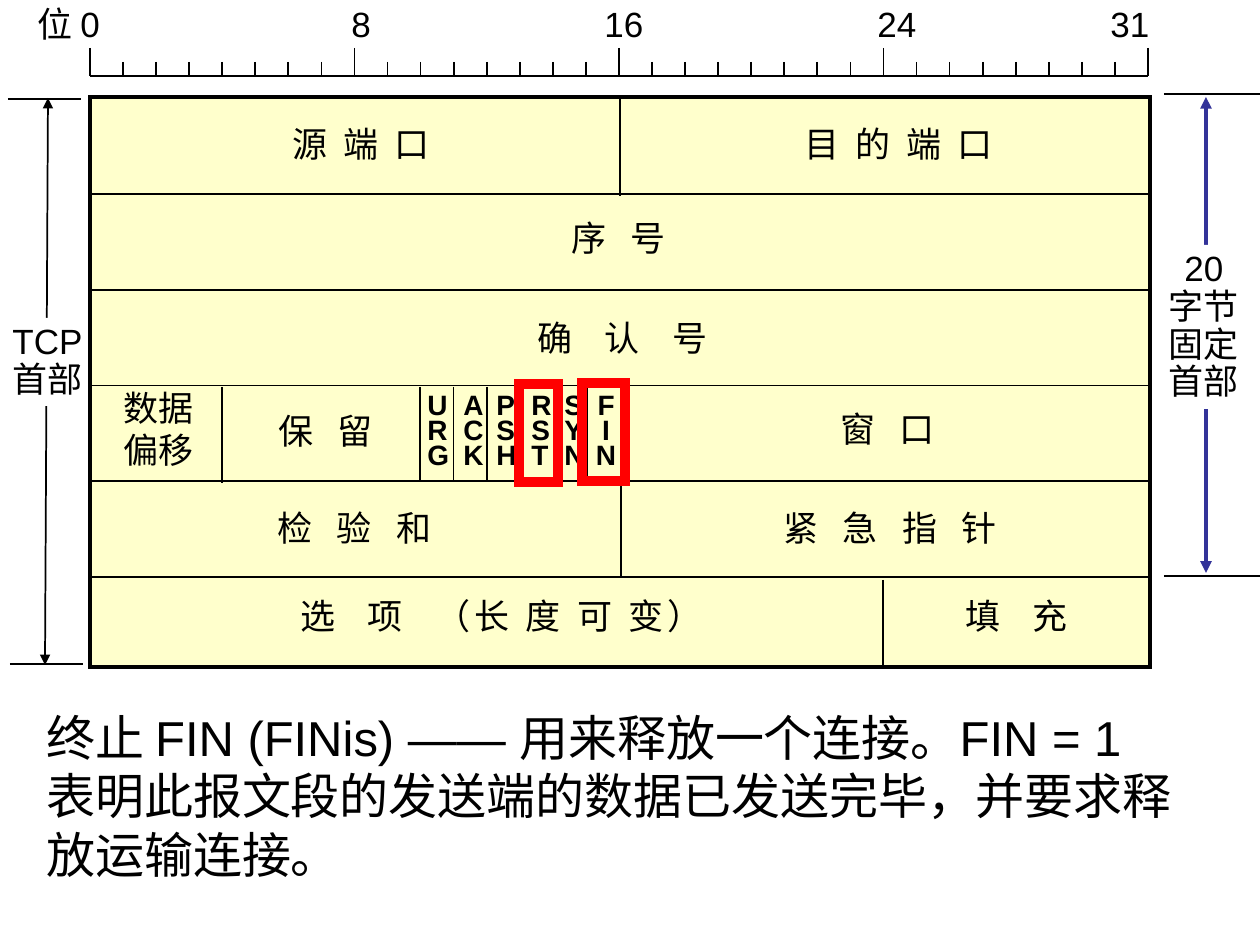
from lxml.etree import SubElement as Sub
from pptx import Presentation
from pptx.dml.color import RGBColor as RGB
from pptx.enum.shapes import MSO_CONNECTOR as Conn, MSO_SHAPE as Shape
from pptx.enum.text import MSO_ANCHOR as Anchor, MSO_AUTO_SIZE as Auto, PP_ALIGN as Align
from pptx.oxml.ns import qn
from pptx.util import Emu, Pt

THEME = {
    "font": "Arial", "ink": "000000", "paper": "FFFFFF", "field": "FFFFCC",
    "span": "333399", "mark": "FF0000",
    "label": 20, "flag": 16, "body": 28,
    "thin": 1, "frame": 2, "arrow": 2.25, "ring": 6,
}
SCALE = 914400 / 126  # EMU in one pixel
SPACE = 0.235  # width of one gap unit, in ems

# Field names: left, top, width, then (text, gap units) runs
FIELDS = [
    (280, 116, 200, [("源 端 口", 2)]),
    (792, 116, 250, [("目 的 端 口", 2)]),
    (559, 210, 190, [("序 号", 3)]),
    (525, 310, 253, [("确 认 号", 4)]),
    (266, 403, 150, [("保 留", 3)]),
    (828, 401, 150, [("窗 口", 3)]),
    (265, 500, 220, [("检 验 和", 3)]),
    (771, 500, 270, [("紧 急 指 针", 3)]),
    (288, 588, 480, [("选 项 ", 4), ("（长 度 可 变）", 2)]),
    (953, 588, 173, [("填 充", 4)]),
]
FIELD_H = 54
OFFSET = ((111, 380, 96, 96), ["数据", "偏移"])
FLAGS = [("URG", 415), ("ACK", 451), ("PSH", 484),
         ("RST", 519), ("SYN", 552), ("FIN", 583)]
FLAG_TOP, FLAG_W, FLAG_H = 389, 46, 88
RINGS = [(582, 383, 43, 98), (519, 384, 39, 98)]

FRAME = (90, 97, 1060, 570)
ROW_TOP, ROW_H, ROW_LINES = 194, 95.75, 5
FLAG_X, FLAG_STEP = 420, 33.5
SPLITS = [(620, 98, 196), (621, 387, 576), (222, 387, 483), (883, 580, 667)]

RULER_X, RULER_W, RULER_Y, BITS = 90, 1058, 76, 32
MAJOR, MINOR = 48, 62
SCALE_BOX = (25, -4, 1160, 54)
SCALE_TEXT = "位 0\t8\t16\t24\t31"
SCALE_TABS = [314, 567, 840, 1073]

LEFT = ((0, 318, 96, 88), ["TCP", "首部"])
RIGHT = ((1156, 245, 96, 164), ["20", "字节", "固定", "首部"])
BOUNDS = [(1164, 1260, 94), (1164, 1260, 576), (8, 81, 99), (10, 83, 664)]
BODY = ((34, 701, 1160, 189),
        "终止 FIN (FINis) —— 用来释放一个连接。FIN = 1 "
        "表明此报文段的发送端的数据已发送完毕，并要求释放运输连接。")


def px(val):
    """Turn pixels into EMU."""
    return Emu(round(val * SCALE))


def tint(name):
    """Give a theme colour."""
    return RGB.from_string(THEME[name])


def line(start, end, ink="ink", width="thin", heads=False):
    """Draw a straight line, with arrowheads if wanted."""
    item = slide.shapes.add_connector(
        Conn.STRAIGHT, *map(px, (*start, *end)))
    item.line.color.rgb = tint(ink)
    item.line.width = Pt(THEME[width])
    if heads:
        pen = item.line._get_or_add_ln()
        for tag in ("a:headEnd", "a:tailEnd"):
            Sub(pen, qn(tag), type="triangle")
    Sub(item._element.spPr, qn("a:effectLst"))


def rect(box, fill, ink, width):
    """Draw an outlined rectangle with sharp corners."""
    item = slide.shapes.add_shape(Shape.RECTANGLE, *map(px, box))
    item.shadow.inherit = False
    if fill:
        item.fill.solid()
        item.fill.fore_color.rgb = tint(fill)
    else:
        item.fill.background()
    item.line.color.rgb = tint(ink)
    item.line.width = Pt(THEME[width])
    Sub(item.line._get_or_add_ln(), qn("a:miter"), lim="800000")


def text(box, rows, size="label", lead=None, align=Align.LEFT,
         bold=False, fill=None, wrap=False, tabs=()):
    """Write rows of (text, gap) runs in a text box."""
    item = slide.shapes.add_textbox(*map(px, box))
    if fill:
        item.fill.solid()
        item.fill.fore_color.rgb = tint(fill)
    frame = item.text_frame
    frame.word_wrap = wrap
    frame.auto_size = Auto.SHAPE_TO_FIT_TEXT
    frame.vertical_anchor = Anchor.TOP
    for num, row in enumerate(rows):
        para = frame.add_paragraph() if num else frame.paragraphs[0]
        para.alignment = align
        if lead:
            para.line_spacing = lead
        if tabs:
            stops = Sub(para._p.get_or_add_pPr(), qn("a:tabLst"))
            for stop in tabs:
                Sub(stops, qn("a:tab"), pos=str(px(stop)), algn="l")
        for words, gap in row:
            run = para.add_run()
            run.text = words
            font = run.font
            font.name, font.size, font.bold = THEME["font"], Pt(THEME[size]), bold
            font.color.rgb = tint("ink")
            if gap > 1:
                extra = (gap - 1) * SPACE * THEME[size] / 2
                run._r.get_or_add_rPr().set("spc", str(round(extra * 100)))


def plain(rows):
    """Make one evenly set run of each row."""
    return [[(row, 1)] for row in rows]


def sides():
    """Draw the size arrows and their labels."""
    line((48, 98), (45, 665), heads=True)
    text(LEFT[0], plain(LEFT[1]), lead=0.9, fill="paper")
    line((1206, 97), (1206, 573), "span", "arrow", True)
    text(RIGHT[0], plain(RIGHT[1]), lead=0.9, align=Align.CENTER, fill="paper")
    for left, right, top in BOUNDS:
        line((left, top), (right, top))


def header():
    """Draw the header grid with its fields and flags."""
    rect(FRAME, "field", "ink", "frame")
    left, right = FRAME[0], FRAME[0] + FRAME[2]
    for num in range(ROW_LINES):
        top = ROW_TOP + num * ROW_H
        line((left, top), (right, top))
    cuts = [(FLAG_X + num * FLAG_STEP, 387, 481) for num in range(len(FLAGS))]
    for at, top, low in SPLITS + cuts:
        line((at, top), (at, low))
    for at, top, width, runs in FIELDS:
        text((at, top, width, FIELD_H), [runs], wrap=True)
    text(OFFSET[0], plain(OFFSET[1]))
    for name, at in FLAGS:
        align = Align.CENTER if name == "FIN" else Align.LEFT
        text((at, FLAG_TOP, FLAG_W, FLAG_H), plain(name), "flag", 0.75, align, True)


def ruler():
    """Draw the bit ruler and its numbers."""
    line((RULER_X, RULER_Y), (RULER_X + RULER_W, RULER_Y))
    for bit in range(BITS + 1):
        at = RULER_X + bit * RULER_W / BITS
        line((at, MINOR if bit % 8 else MAJOR), (at, RULER_Y))
    text(SCALE_BOX, plain([SCALE_TEXT]), wrap=True, tabs=SCALE_TABS)


deck = Presentation()
deck.slide_width, deck.slide_height = px(1260), px(945)
slide = deck.slides.add_slide(deck.slide_layouts[6])
sides()
header()
ruler()
text(BODY[0], plain([BODY[1]]), "body", wrap=True)
for ring in RINGS:
    rect(ring, None, "mark", "ring")
deck.save("out.pptx")
